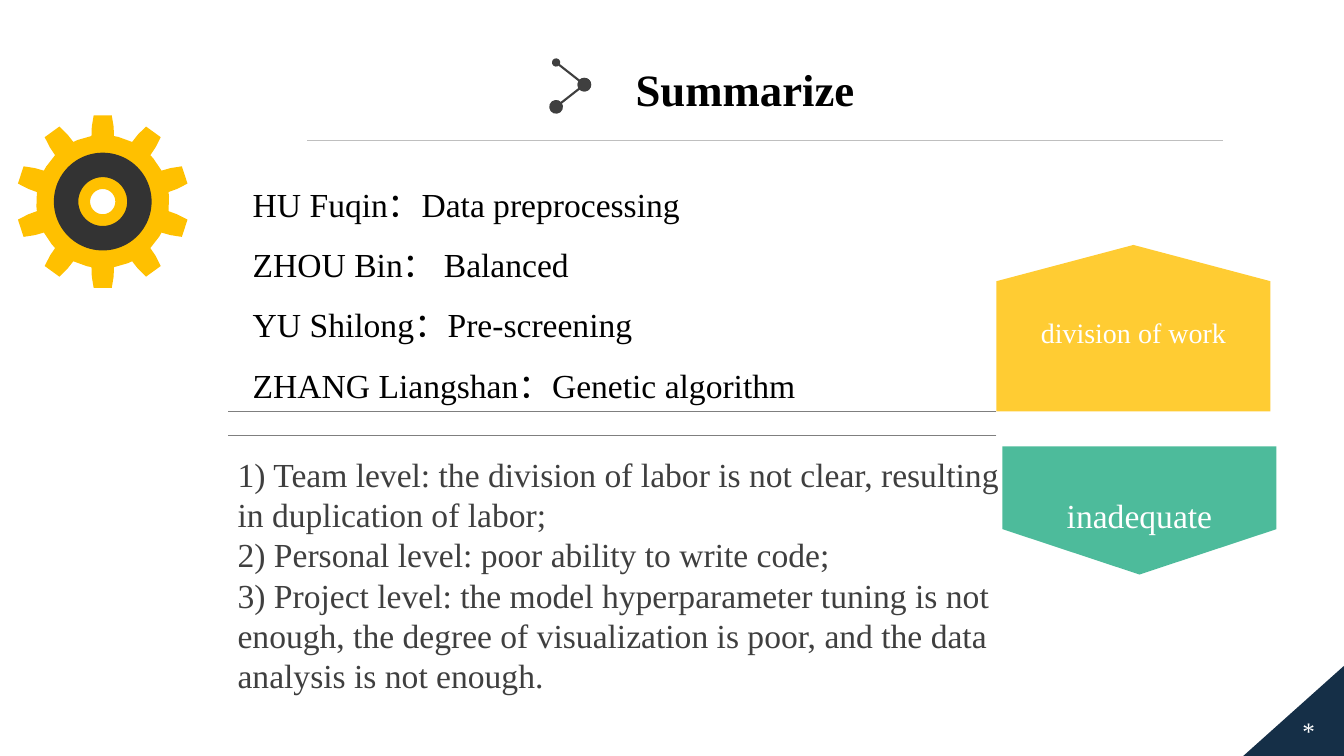
"""Build the summary slide with the division of work and the shortcomings."""
from math import cos, pi, sin

from lxml import etree
from pptx import Presentation
from pptx.dml.color import RGBColor
from pptx.enum.shapes import MSO_CONNECTOR, MSO_SHAPE
from pptx.enum.text import MSO_ANCHOR, MSO_AUTO_SIZE, PP_ALIGN
from pptx.oxml.ns import qn
from pptx.util import Inches, Pt

STRAIGHT = MSO_CONNECTOR.STRAIGHT
TRIANGLE, DONUT = MSO_SHAPE.RIGHT_TRIANGLE, MSO_SHAPE.DONUT
TOP, MIDDLE = MSO_ANCHOR.TOP, MSO_ANCHOR.MIDDLE
LEFT, CENTER = PP_ALIGN.LEFT, PP_ALIGN.CENTER
GROW, FIXED = MSO_AUTO_SIZE.SHAPE_TO_FIT_TEXT, MSO_AUTO_SIZE.NONE

COLORS = {
    "black": "000000", "white": "FFFFFF", "text": "3F3F3F", "navy": "152F47",
    "amber": "FFC000", "green": "21AB82", "charcoal": "333333",
    "rule": "7F7F7F", "pale": "BFBFBF",
}


class SlideBuilder:
    """Hold the font, the colours and the page being filled."""

    def __init__(self, page, font, colors):
        self.page, self.font, self.colors = page, font, colors

    def color(self, name):
        return RGBColor.from_string(self.colors[name])

    def paint(self, shape, fill, alpha=None):
        shape.shadow.inherit = False
        shape.line.fill.background()
        shape.fill.solid()
        shape.fill.fore_color.rgb = self.color(fill)
        if alpha is not None:
            tint = shape._element.spPr.find(qn("a:solidFill"))[0]
            etree.SubElement(tint, qn("a:alpha"), val=str(alpha * 1000))
        return shape

    def set_text(self, shape, lines, size, color, bold=False, align=LEFT,
                 anchor=TOP, wrap=True, grow=False, inset_top=0.05,
                 spacing=None, before=0):
        frame = shape.text_frame
        frame.word_wrap = wrap
        frame.auto_size = GROW if grow else FIXED
        frame.vertical_anchor = anchor
        frame.margin_left = frame.margin_right = Inches(0.1)
        frame.margin_top, frame.margin_bottom = Inches(inset_top), Inches(0.05)
        for index, line in enumerate(lines):
            para = frame.add_paragraph() if index else frame.paragraphs[0]
            para.alignment, para.space_before = align, Pt(before)
            para.line_spacing = spacing
            span = para.add_run()
            span.text = line
            span.font.name, span.font.size = self.font, Pt(size)
            span.font.bold, span.font.color.rgb = bold, self.color(color)

    def text(self, left, top, width, height, lines, **style):
        box = self.page.shapes.add_textbox(*map(Inches, (left, top, width, height)))
        self.set_text(box, lines, **style)

    def shape(self, kind, left, top, width, height, fill, flip=False):
        shape = self.page.shapes.add_shape(kind, *map(Inches, (left, top, width, height)))
        if flip:
            shape._element.spPr.xfrm.set("flipH", "1")
        return self.paint(shape, fill)

    def outline(self, contours, fill, alpha=None):
        builder = None
        for contour in contours:
            first, *rest = [(Inches(x), Inches(y)) for x, y in contour]
            if builder is None:
                builder = self.page.shapes.build_freeform(*first, scale=1.0)
            else:
                builder.move_to(*first)
            builder.add_line_segments(rest, close=True)
        return self.paint(builder.convert_to_shape(), fill, alpha)

    def line(self, start, end, color, width, dots=None):
        line = self.page.shapes.add_connector(STRAIGHT, *map(Inches, start + end))
        line.line.color.rgb, line.line.width = self.color(color), Pt(width)
        if dots:
            stroke = line._element.spPr.find(qn("a:ln"))
            for tag, dot in zip(("a:headEnd", "a:tailEnd"), dots):
                etree.SubElement(stroke, qn(tag), type="oval", w=dot, len=dot)
        etree.SubElement(line._element.spPr, qn("a:effectLst"))


def polar(center, radius, angle):
    return center[0] + radius * cos(angle), center[1] + radius * sin(angle)


def gear_rim(center, teeth=10):
    profile = [(0.66, -0.17), (0.75, -0.145), (0.86, -0.105),
               (0.86, 0.105), (0.75, 0.145), (0.66, 0.17), (0.66, 0.24)]
    return [polar(center, radius, 2 * pi * tooth / teeth - pi / 2 + angle)
            for tooth in range(teeth) for radius, angle in profile]


def circle(center, radius, steps=48):
    return [polar(center, radius, -2 * pi * step / steps) for step in range(steps)]


def main():
    deck = Presentation()
    deck.slide_width, deck.slide_height = Inches(13.34), Inches(7.5)
    page = deck.slides.add_slide(deck.slide_layouts[6])
    slide = SlideBuilder(page, "Times New Roman", COLORS)

    slide.line((3.05, 1.39), (12.14, 1.39), "pale", 0.5)
    slide.shape(TRIANGLE, 12.33, 6.58, 1.04, 0.93, "navy", flip=True)
    slide.text(12.45, 6.97, 1.08, 0.55, ["*"], size=18, color="white",
               align=CENTER, anchor=MIDDLE)

    slide.text(6.21, 0.56, 2.38, 0.63, ["Summarize"], size=32, color="black",
               bold=True, wrap=False, grow=True, before=8)
    slide.line((5.52, 0.62), (5.8, 0.84), "text", 1.5, dots=("med", "lg"))
    slide.line((5.8, 0.84), (5.52, 1.06), "text", 1.5, dots=("lg", "lg"))

    label = {"color": "white", "align": CENTER, "spacing": Pt(15)}
    work = slide.outline([[(12.61, 2.79), (11.25, 2.43), (9.89, 2.79),
                           (9.89, 4.08), (12.61, 4.08)]], "amber", alpha=80)
    slide.set_text(work, ["division of work"], size=20, inset_top=0.83, **label)
    lacking = slide.outline([[(9.95, 4.43), (9.95, 5.25), (11.31, 5.7),
                              (12.67, 5.25), (12.67, 4.43)]], "green", alpha=80)
    slide.set_text(lacking, ["inadequate"], size=24, inset_top=0.67, **label)

    for height in (4.08, 4.32):
        slide.line((9.89, height), (2.26, height), "rule", 0.5)

    slide.text(2.26, 4.45, 7.79, 2.5, [
        "1) Team level: the division of labor is not clear, resulting in duplication of labor;",
        "2) Personal level: poor ability to write code;",
        "3) Project level: the model hyperparameter tuning is not enough, "
        "the degree of visualization is poor, and the data analysis is not enough.",
    ], size=24, color="text", grow=True)
    slide.text(2.41, 1.57, 7.33, 2.5, [
        "HU Fuqin：Data preprocessing",
        "ZHOU Bin： Balanced",
        "YU Shilong：Pre-screening",
        "ZHANG Liangshan：Genetic algorithm",
    ], size=24, color="black", anchor=MIDDLE, grow=True, spacing=1.5)

    hub = (1.02, 2.0)
    slide.outline([gear_rim(hub), circle(hub, 0.125)], "amber")
    ring = slide.shape(DONUT, hub[0] - 0.485, hub[1] - 0.485, 0.97, 0.97, "charcoal")
    ring.adjustments[0] = 0.25

    deck.save("out.pptx")


if __name__ == "__main__":
    main()
